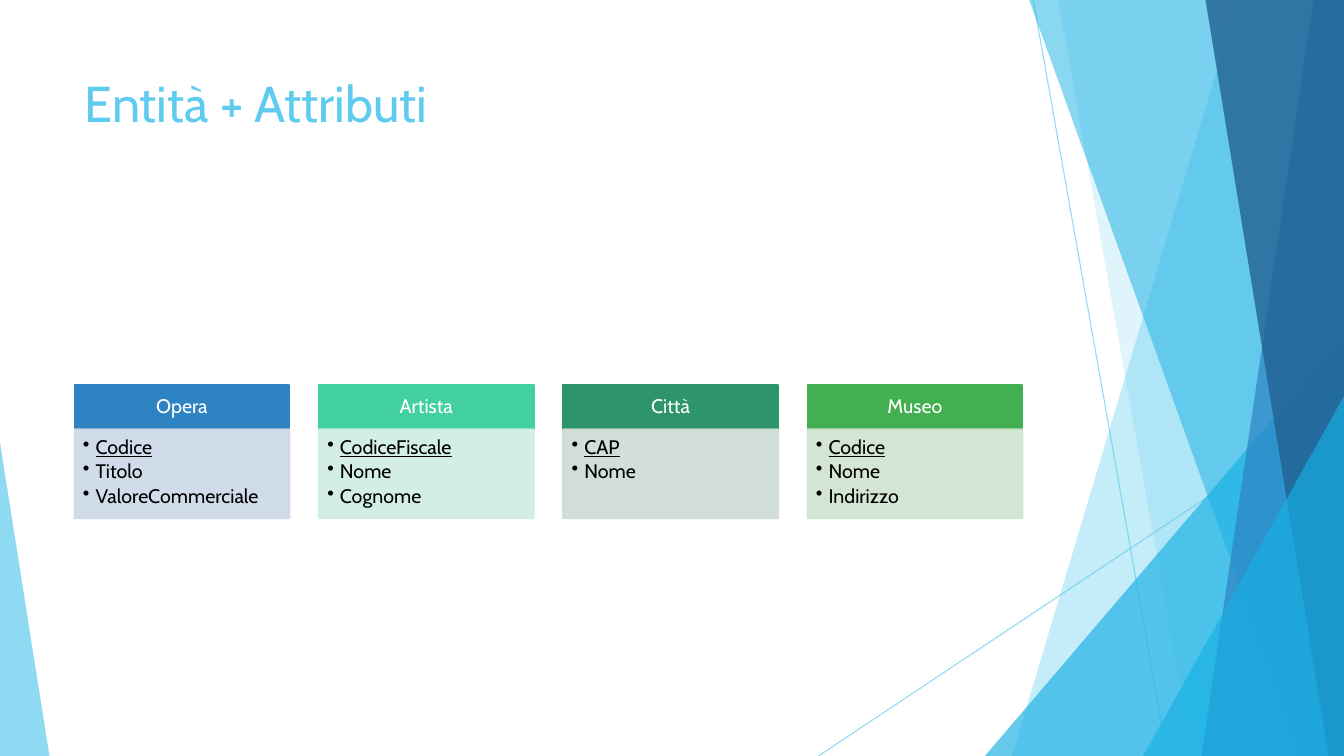
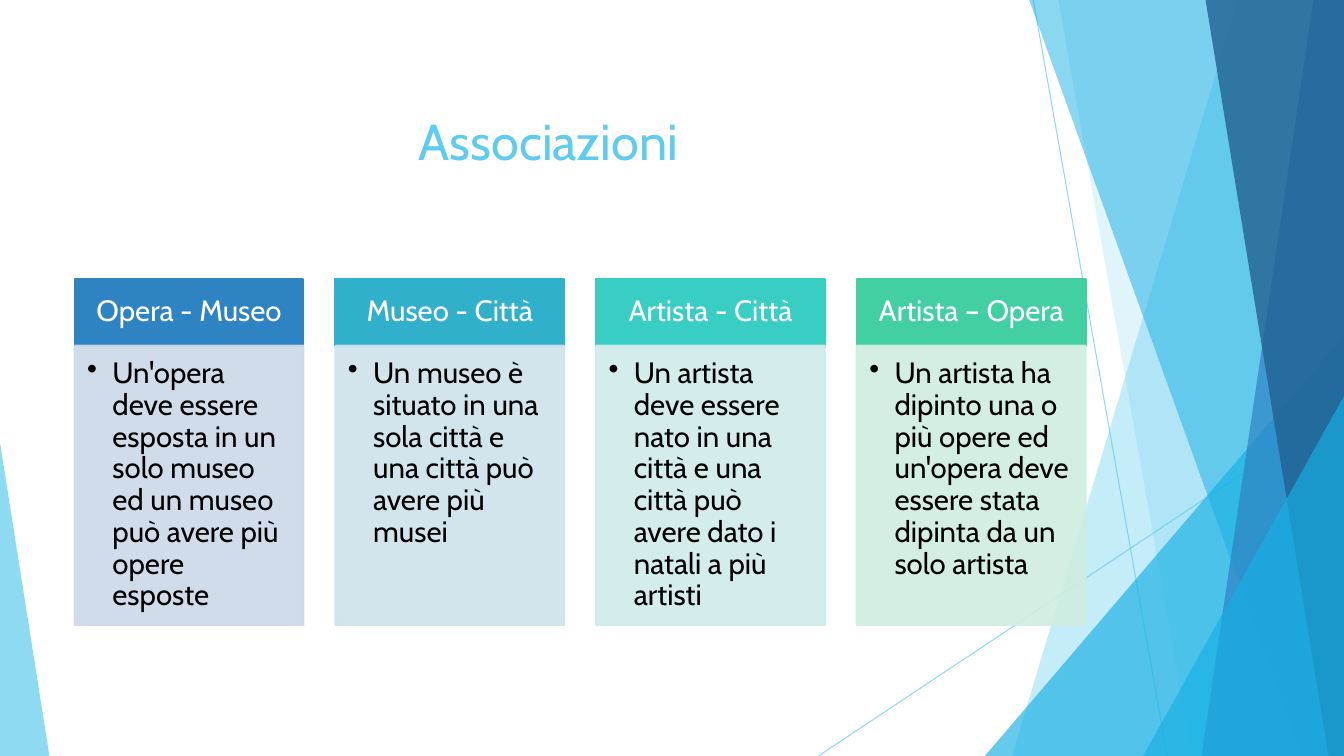
from dataclasses import dataclass
from typing import NamedTuple

from lxml.etree import SubElement
from pptx import Presentation
from pptx.dml.color import RGBColor
from pptx.enum.shapes import MSO_CONNECTOR, MSO_SHAPE
from pptx.enum.text import MSO_ANCHOR, MSO_AUTO_SIZE, PP_ALIGN
from pptx.oxml.ns import qn
from pptx.util import Inches, Pt

WIDE, HIGH = Inches(13.333), Inches(7.5)
FONT = "Cabin"
LEFT = 5.55  # left margin, percent of the slide's width
HUES = {
    "sky": "5FCBEF", "cyan": "17B0E4", "blue": "2E83C3", "navy": "226292",
    "teal": "31B0CB", "aqua": "39CEC4", "mint": "42D0A2",
    "pine": "2E946B", "leaf": "42B051", "white": "FFFFFF", "black": "000000",
}
TINTS = {
    "blue": "CDD9E9", "teal": "CEE3EB", "aqua": "CEECEA",
    "mint": "CFEEE0", "pine": "CDDCD4", "leaf": "CFE4D0",
}


class Ray(NamedTuple):
    """A thin line between two points, in percent of the slide."""
    x1: float
    y1: float
    x2: float
    y2: float


class Band(NamedTuple):
    """A full-height band from a slanted left edge to the right side."""
    top: float
    foot: float
    hue: str
    alpha: int


class Wedge(NamedTuple):
    """A right triangle standing on the bottom edge."""
    left: float
    top: float
    width: float
    tip: int
    hue: str
    alpha: int


@dataclass(frozen=True)
class Card:
    head: str
    hue: str
    items: tuple[str, ...]


@dataclass(frozen=True)
class Page:
    """A title above a row of cards; lengths in percent of the slide."""
    title: str
    align: PP_ALIGN
    anchor: MSO_ANCHOR
    size: int
    top: float
    width: float
    step: float
    cap: float
    body: float
    indent: int
    keyed: bool
    cards: tuple[Card, ...]


DECOR = (
    Ray(76.88, 0, 86.85, 100),
    Ray(100, 53.73, 60.9, 100),
    Band(92.1, 75.3, "sky", 36),
    Band(78.75, 88.73, "sky", 20),
    Wedge(73.28, 44.4, 26.72, 1, "cyan", 66),
    Band(76.58, 96.83, "cyan", 50),
    Band(97.73, 89.4, "blue", 70),
    Band(89.7, 98.85, "navy", 80),
    Wedge(85.05, 52.4, 14.95, 1, "cyan", 66),
    Wedge(0, 58.53, 3.68, 0, "sky", 70),
)

PAGES = (
    Page("Entità + Attributi", PP_ALIGN.LEFT, MSO_ANCHOR.TOP, 14,
         50.93, 15.98, 18.18, 5.87, 11.73, 9, True, (
             Card("Opera", "blue", ("Codice", "Titolo", "ValoreCommerciale")),
             Card("Artista", "mint", ("CodiceFiscale", "Nome", "Cognome")),
             Card("Città", "pine", ("CAP", "Nome")),
             Card("Museo", "leaf", ("Codice", "Nome", "Indirizzo")),
         )),
    Page("Associazioni", PP_ALIGN.CENTER, MSO_ANCHOR.MIDDLE, 21,
         36.93, 17.03, 19.4, 8.8, 36.93, 18, False, (
             Card("Opera - Museo", "blue", (
                 "Un'opera deve essere esposta in un solo museo ed un museo "
                 "può avere più opere esposte",)),
             Card("Museo - Città", "teal", (
                 "Un museo è situato in una sola città e una città può avere "
                 "più musei",)),
             Card("Artista - Città", "aqua", (
                 "Un artista deve essere nato in una città e una città può "
                 "avere dato i natali a più artisti",)),
             Card("Artista – Opera", "mint", (
                 "Un artista ha dipinto una o più opere ed un'opera deve "
                 "essere stata dipinta da un solo artista",)),
         )),
)


def across(share: float) -> int:
    return round(WIDE * share / 100)


def down(share: float) -> int:
    return round(HIGH * share / 100)


def fade(shape, alpha: int) -> None:
    """Set the opacity of the shape's fill and line, in percent."""
    for tone in shape.element.spPr.iter(qn("a:srgbClr")):
        SubElement(tone, qn("a:alpha")).set("val", str(alpha * 1000))


def paint(shape, tone: str, alpha: int = 100, edge: float = 0) -> None:
    shape.shadow.inherit = False
    shape.fill.solid()
    shape.fill.fore_color.rgb = RGBColor.from_string(tone)
    if edge:
        shape.line.color.rgb = RGBColor.from_string(tone)
        shape.line.width = Pt(edge)
    else:
        shape.line.fill.background()
    if alpha < 100:
        fade(shape, alpha)


def write(frame, lines: tuple[str, ...], *, size: float, hue: str,
          align: PP_ALIGN = PP_ALIGN.LEFT, anchor: MSO_ANCHOR = MSO_ANCHOR.TOP,
          pads: tuple[float, ...] = (7.2, 3.6, 7.2, 3.6), space: float = 1,
          after: float = 0, indent: int = 0, keyed: bool = False) -> None:
    """Fill a frame; an indent adds bullets, keyed underlines the first line."""
    frame.word_wrap = True
    frame.auto_size = MSO_AUTO_SIZE.NONE
    frame.vertical_anchor = anchor
    (frame.margin_left, frame.margin_top,
     frame.margin_right, frame.margin_bottom) = map(Pt, pads)
    for n, line in enumerate(lines):
        para = frame.add_paragraph() if n else frame.paragraphs[0]
        para.alignment = align
        para.line_spacing = space
        para.space_after = Pt(after)
        if indent:
            props = para._p.get_or_add_pPr()
            props.set("marL", str(Pt(indent)))
            props.set("indent", str(-Pt(indent)))
            SubElement(props, qn("a:buChar")).set("char", "•")
        run = para.add_run()
        run.text = line
        run.font.name = FONT
        run.font.size = Pt(size)
        run.font.color.rgb = RGBColor.from_string(HUES[hue])
        if keyed and n == 0:
            run.font.underline = True


def trace(shapes, part: Ray | Band | Wedge):
    """Draw one part of the backdrop."""
    if isinstance(part, Ray):
        line = shapes.add_connector(
            MSO_CONNECTOR.STRAIGHT, across(part.x1), down(part.y1),
            across(part.x2), down(part.y2))
        line.line.color.rgb = RGBColor.from_string(HUES["sky"])
        line.line.width = Pt(0.75)
        fade(line, 70)
        SubElement(line.element.spPr, qn("a:effectLst"))
        return line
    if isinstance(part, Band):
        pen = shapes.build_freeform(across(part.top), 0)
        pen.add_line_segments(
            [(WIDE, 0), (WIDE, HIGH), (across(part.foot), HIGH)], close=True)
        shape = pen.convert_to_shape()
    else:
        shape = shapes.add_shape(
            MSO_SHAPE.ISOSCELES_TRIANGLE, across(part.left), down(part.top),
            across(part.width), HIGH - down(part.top))
        shape.adjustments[0] = part.tip
    paint(shape, HUES[part.hue], part.alpha)
    return shape


def dress(layout, slide) -> None:
    """Set the layout's title place and move the backdrop, drawn on a slide, to it."""
    title = layout.placeholders[0]
    title.left, title.top = across(LEFT), down(8.93)
    title.width, title.height = across(70.5), down(19.2)
    for n, part in enumerate(DECOR):
        node = trace(slide.shapes, part).element
        node.xpath(".//p:cNvPr")[0].set("id", str(20 + n))
        layout.shapes.element.insert(2 + n, node)


def block(shapes, left: float, top: float, width: float, height: float):
    return shapes.add_shape(MSO_SHAPE.RECTANGLE, across(left), down(top),
                            across(width), down(height))


def fill(slide, page: Page) -> None:
    write(slide.shapes.title.text_frame, (page.title,), size=36, hue="sky",
          align=page.align, anchor=page.anchor)
    scale = page.size / 14
    for n, card in enumerate(page.cards):
        left = LEFT + n * page.step
        head = block(slide.shapes, left, page.top, page.width, page.cap)
        paint(head, HUES[card.hue], edge=1.5)
        write(head.text_frame, (card.head,), size=page.size, hue="white",
              align=PP_ALIGN.CENTER, anchor=MSO_ANCHOR.MIDDLE, space=0.9,
              pads=(8 * scale, 4.5 * scale) * 2)
        body = block(slide.shapes, left, page.top + page.cap,
                     page.width, page.body)
        paint(body, TINTS[card.hue], 90, 1.5)
        write(body.text_frame, card.items, size=page.size, hue="black",
              pads=tuple(pad * scale for pad in (6, 6, 8, 9)), space=0.9,
              after=0.15 * page.size, indent=page.indent, keyed=page.keyed)


def main() -> None:
    deck = Presentation()
    deck.slide_width, deck.slide_height = WIDE, HIGH
    layout = deck.slide_layouts[5]
    slides = [deck.slides.add_slide(layout) for _ in PAGES]
    dress(layout, slides[0])
    for slide, page in zip(slides, PAGES):
        fill(slide, page)
    deck.save("out.pptx")


if __name__ == "__main__":
    main()
